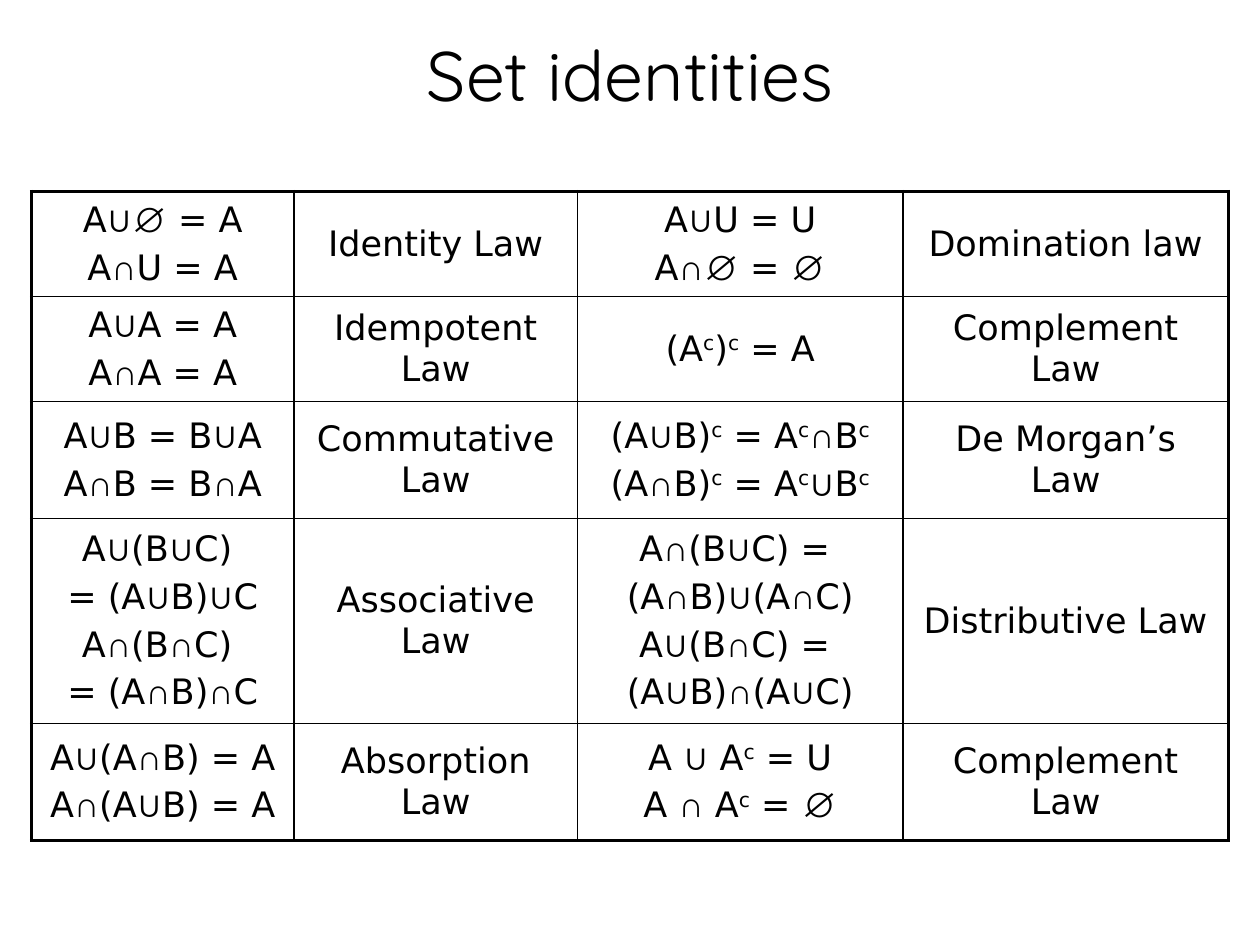
import itertools
from dataclasses import dataclass

import pptx
import pptx.dml.color
import pptx.enum.text
import pptx.oxml
import pptx.oxml.ns
import pptx.slide
import pptx.table
import pptx.text.text
import pptx.util

BLACK = pptx.dml.color.RGBColor(0, 0, 0)
TITLE_FONT, TEXT_FONT, SYMBOL_FONT = "Quicksand", "DejaVu Sans", "Arial"
SYMBOLS = "∪∩∅"
COMPLEMENT = "ᶜ"  # typed in formulas, shown as a raised "c"
OUTER_BORDER, INNER_BORDER = 2.25, 1

# The slide is a grid of 120 columns by 90 rows, twelve to the inch
SLIDE_COLUMNS, SLIDE_ROWS = 120, 90
MARGIN = 3
TABLE_TOP = 18.25
COLUMN_WIDTHS = (25, 27, 31, 31)
ROW_HEIGHTS = (10, 10, 11.15, 19.5, 11.15)


@dataclass(frozen=True)
class Identity:
    formulas: tuple[str, ...]
    law: str


# Two identities in each table row
IDENTITIES = (
    (Identity(("A∪∅ = A", "A∩U = A"), "Identity Law"),
     Identity(("A∪U = U", "A∩∅ = ∅"), "Domination law")),
    (Identity(("A∪A = A", "A∩A = A"), "Idempotent Law"),
     Identity(("(Aᶜ)ᶜ = A",), "Complement Law")),
    (Identity(("A∪B = B∪A", "A∩B = B∩A"), "Commutative Law"),
     Identity(("(A∪B)ᶜ = Aᶜ∩Bᶜ", "(A∩B)ᶜ = Aᶜ∪Bᶜ"), "De Morgan’s Law")),
    (Identity(("A∪(B∪C) ", "= (A∪B)∪C", "A∩(B∩C) ", "= (A∩B)∩C"), "Associative Law"),
     Identity(("A∩(B∪C) = ", "(A∩B)∪(A∩C)", "A∪(B∩C) = ", "(A∪B)∩(A∪C)"),
              "Distributive Law")),
    (Identity(("A∪(A∩B) = A", "A∩(A∪B) = A"), "Absorption Law"),
     Identity(("A ∪ Aᶜ = U", "A ∩ Aᶜ = ∅"), "Complement Law")),
)


def grid(units: float) -> pptx.util.Length:
    return pptx.util.Inches(units / 12)


def set_font(font: pptx.text.text.Font, name: str, size: float) -> None:
    font.name = name
    font.size = pptx.util.Pt(size)
    font.color.rgb = BLACK


def character_kind(character: str) -> str:
    if character in SYMBOLS:
        return "symbol"
    return "raised" if character == COMPLEMENT else "plain"


def write_line(paragraph: pptx.text.text._Paragraph, line: str) -> None:
    """Write a line with its set symbols and raised letters as separate runs."""
    paragraph.alignment = pptx.enum.text.PP_ALIGN.CENTER
    for kind, characters in itertools.groupby(line, character_kind):
        run = paragraph.add_run()
        run.text = "".join(characters).replace(COMPLEMENT, "c")
        set_font(run.font, SYMBOL_FONT if kind == "symbol" else TEXT_FONT, 20)
        if kind == "raised":
            run.font._element.set("baseline", "30000")


def set_borders(cell: pptx.table._Cell, widths: dict[str, float]) -> None:
    properties = cell._tc.get_or_add_tcPr()
    for side, width in widths.items():
        properties.append(pptx.oxml.parse_xml(
            f'<a:ln{side} {pptx.oxml.ns.nsdecls("a")} w="{pptx.util.Pt(width)}">'
            f'<a:solidFill><a:srgbClr val="{BLACK}"/></a:solidFill></a:ln{side}>'))


def fill_cell(cell: pptx.table._Cell, lines: tuple[str, ...]) -> None:
    cell.vertical_anchor = pptx.enum.text.MSO_ANCHOR.MIDDLE
    text_frame = cell.text_frame
    for index, line in enumerate(lines):
        paragraph = text_frame.add_paragraph() if index else text_frame.paragraphs[0]
        if index:
            paragraph.space_before = pptx.util.Pt(4)
        write_line(paragraph, line)


def add_title(slide: pptx.slide.Slide, text: str) -> None:
    title = slide.shapes.title
    title.left, title.top = grid(MARGIN), grid(2)
    title.width, title.height = grid(SLIDE_COLUMNS - 2 * MARGIN), grid(10)
    title.text_frame.text = text
    title.text_frame.vertical_anchor = pptx.enum.text.MSO_ANCHOR.MIDDLE
    paragraph = title.text_frame.paragraphs[0]
    paragraph.alignment = pptx.enum.text.PP_ALIGN.CENTER
    set_font(paragraph.runs[0].font, TITLE_FONT, 40)


def add_identity_table(slide: pptx.slide.Slide) -> None:
    row_count, column_count = len(ROW_HEIGHTS), len(COLUMN_WIDTHS)
    table = slide.shapes.add_table(
        row_count, column_count, grid(MARGIN), grid(TABLE_TOP),
        grid(sum(COLUMN_WIDTHS)), grid(sum(ROW_HEIGHTS))).table
    table.first_row = table.horz_banding = False
    for column, width in zip(table.columns, COLUMN_WIDTHS):
        column.width = grid(width)
    for row, height in zip(table.rows, ROW_HEIGHTS):
        row.height = grid(height)

    for row_index, identities in enumerate(IDENTITIES):
        contents = [lines for identity in identities
                    for lines in (identity.formulas, (identity.law,))]
        for column_index, lines in enumerate(contents):
            cell = table.cell(row_index, column_index)
            fill_cell(cell, lines)
            on_edge = {"L": column_index == 0, "R": column_index == column_count - 1,
                       "T": row_index == 0, "B": row_index == row_count - 1}
            set_borders(cell, {side: OUTER_BORDER if outer else INNER_BORDER
                               for side, outer in on_edge.items()})
            cell.fill.background()


def main() -> None:
    presentation = pptx.Presentation()
    presentation.slide_width = grid(SLIDE_COLUMNS)
    presentation.slide_height = grid(SLIDE_ROWS)
    slide = presentation.slides.add_slide(presentation.slide_layouts[5])
    add_title(slide, "Set identities")
    add_identity_table(slide)
    presentation.save("out.pptx")


if __name__ == "__main__":
    main()
